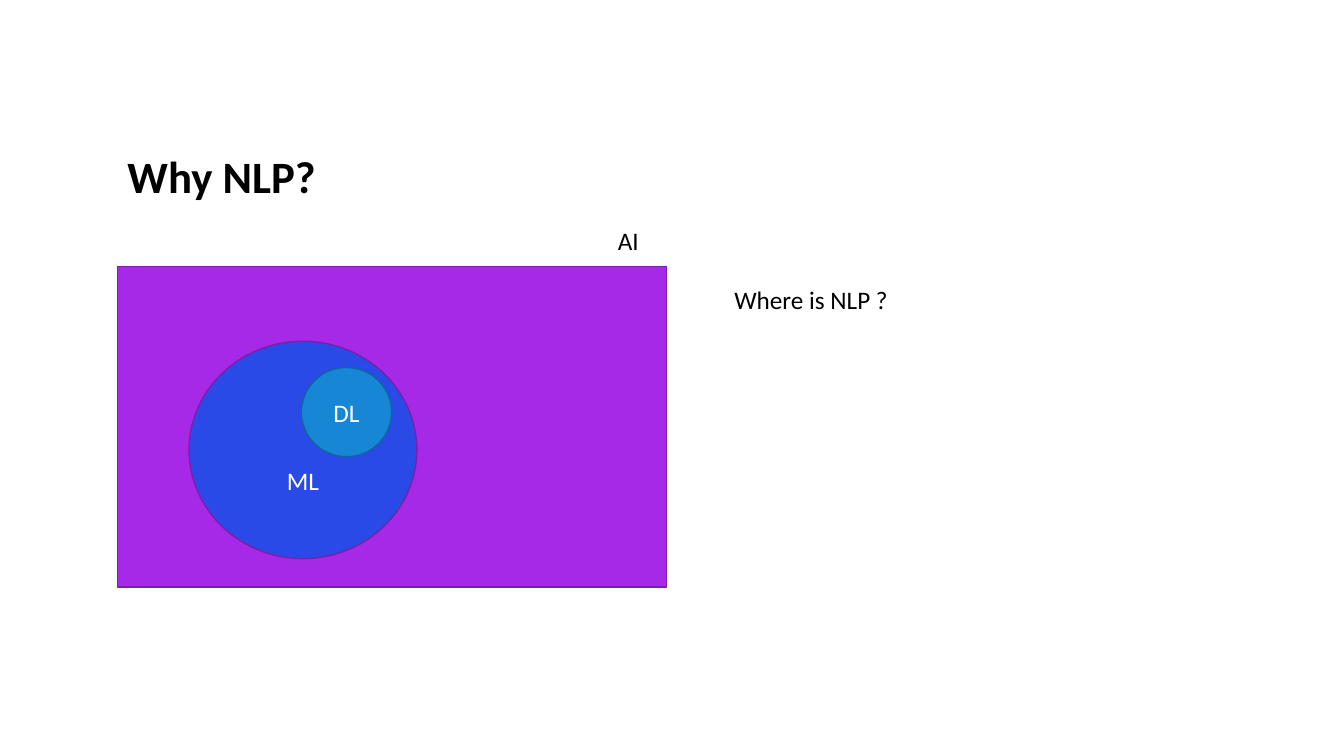
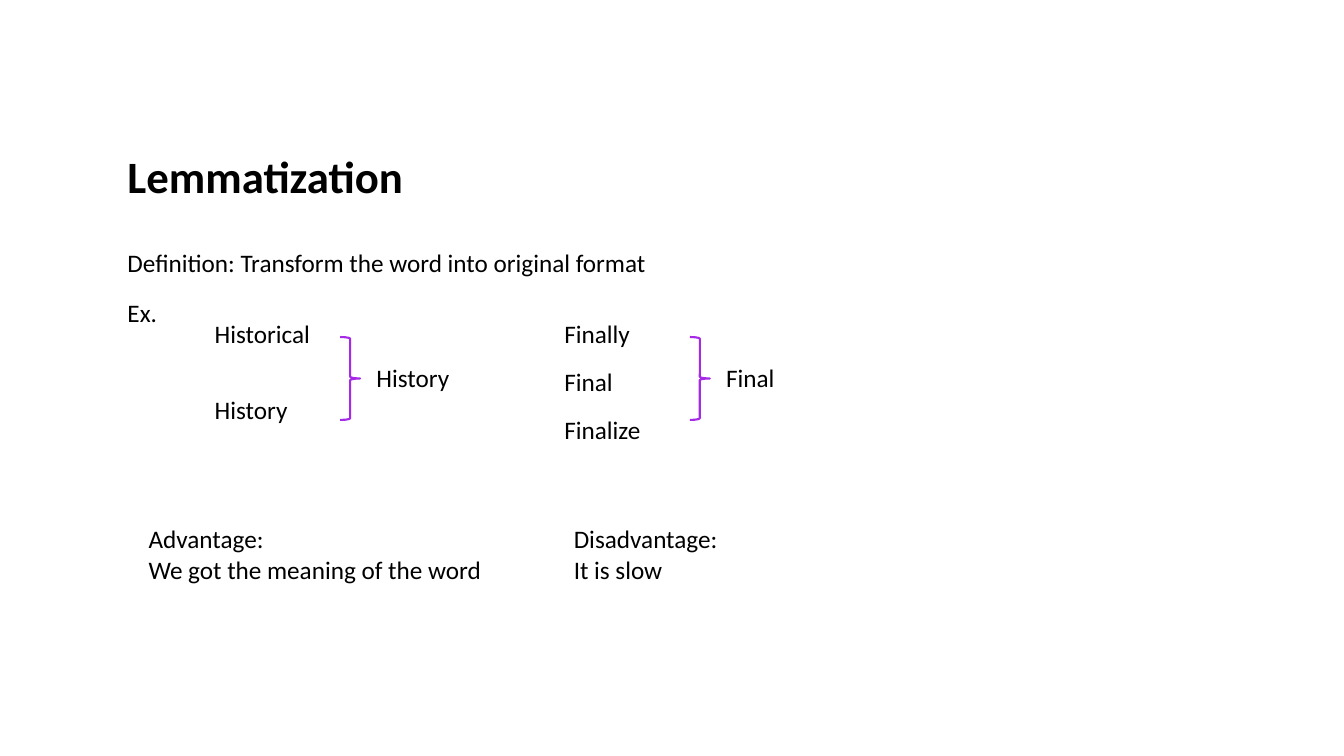
"""Build two slides on NLP: its place within AI, and lemmatization."""
from pptx import Presentation
from pptx.dml.color import RGBColor
from pptx.enum.shapes import MSO_SHAPE
from pptx.enum.text import MSO_ANCHOR, PP_ALIGN
from pptx.util import Pt

PX = 9525
COLORS = {
    "text": "000000", "white": "FFFFFF",
    "purple": "A629E7", "purple_line": "7B1EAB",
    "blue": "294AE7", "sky": "1787D5", "sky_line": "11649E",
}
PLAIN = {"font": {"size": Pt(18), "bold": False}, "para": {}, "frame": {}}
TITLE = {
    "font": {"size": Pt(32), "bold": True},
    "para": {"line_spacing": 0.9},
    "frame": {"vertical_anchor": MSO_ANCHOR.BOTTOM},
}
BODY = {**PLAIN, "para": {"line_spacing": 1.2, "space_before": Pt(10)}}
LABEL = {
    **PLAIN,
    "para": {"alignment": PP_ALIGN.CENTER},
    "frame": {"vertical_anchor": MSO_ANCHOR.MIDDLE},
}
LOWERED = {**LABEL, "frame": {**LABEL["frame"], "margin_top": 63 * PX}}


def add_text(sp, lines, style=PLAIN, color="text"):
    tf = sp.text_frame
    tf.word_wrap = True
    for name, value in style["frame"].items():
        setattr(tf, name, value)
    for i, line in enumerate(lines):
        p = tf.add_paragraph() if i else tf.paragraphs[0]
        for name, value in style["para"].items():
            setattr(p, name, value)
        r = p.add_run()
        r.text = line
        r.font.name = "Calibri"
        r.font.color.rgb = RGBColor.from_string(COLORS[color])
        for name, value in style["font"].items():
            setattr(r.font, name, value)


def add_shape(s, kind, box, fill, line, weight=1):
    sp = s.shapes.add_shape(kind, *(v * PX for v in box))
    sp.shadow.inherit = False
    if fill:
        sp.fill.solid()
        sp.fill.fore_color.rgb = RGBColor.from_string(COLORS[fill])
    else:
        sp.fill.background()
    sp.line.color.rgb = RGBColor.from_string(COLORS[line])
    sp.line.width = Pt(weight)
    return sp


prs = Presentation()
prs.slide_width, prs.slide_height = 1280 * PX, 720 * PX

slides = []
for title in ("Why NLP?", "Lemmatization"):
    s = prs.slides.add_slide(prs.slide_layouts[6])
    add_text(s.shapes.add_textbox(112 * PX, 98 * PX, 933 * PX, 100 * PX), [title], TITLE)
    slides.append(s)
why, lemma = slides

add_shape(why, MSO_SHAPE.RECTANGLE, (112, 254, 523, 305), "purple", "purple_line")
for text, box, fill, line, style in (
    ("ML", (180, 325, 217, 207), "blue", "purple_line", LOWERED),
    ("DL", (287, 350, 86, 85), "sky", "sky_line", LABEL),
):
    add_text(add_shape(why, MSO_SHAPE.OVAL, box, fill, line), [text], style, "white")

add_text(
    lemma.shapes.add_textbox(112 * PX, 225 * PX, 933 * PX, 386 * PX),
    ["Definition: Transform the word into original format", "Ex."],
    BODY,
)

notes = [
    (why, 579, 210, ["AI"]),
    (why, 690, 266, ["Where is NLP ?"]),
    (lemma, 132, 494, ["Advantage:", "We got the meaning of the word"]),
    (lemma, 537, 494, ["Disadvantage:", "It is slow"]),
]
for x, step, words, root in (
    (195, 73, ["Historical", "History"], "History"),
    (528, 46, ["Finally", "Final", "Finalize"], "Final"),
):
    notes += [(lemma, x, 298 + i * step, [word]) for i, word in enumerate(words)]
    notes.append((lemma, x + 154, 340, [root]))
    add_shape(lemma, MSO_SHAPE.RIGHT_BRACE, (x + 129, 321, 19, 79), None, "purple", 1.5)

for s, x, y, lines in notes:
    width = 30 + 11 * max(map(len, lines))
    height = 10 + 29 * len(lines)
    add_text(s.shapes.add_textbox(x * PX, y * PX, width * PX, height * PX), lines)

prs.save("out.pptx")
